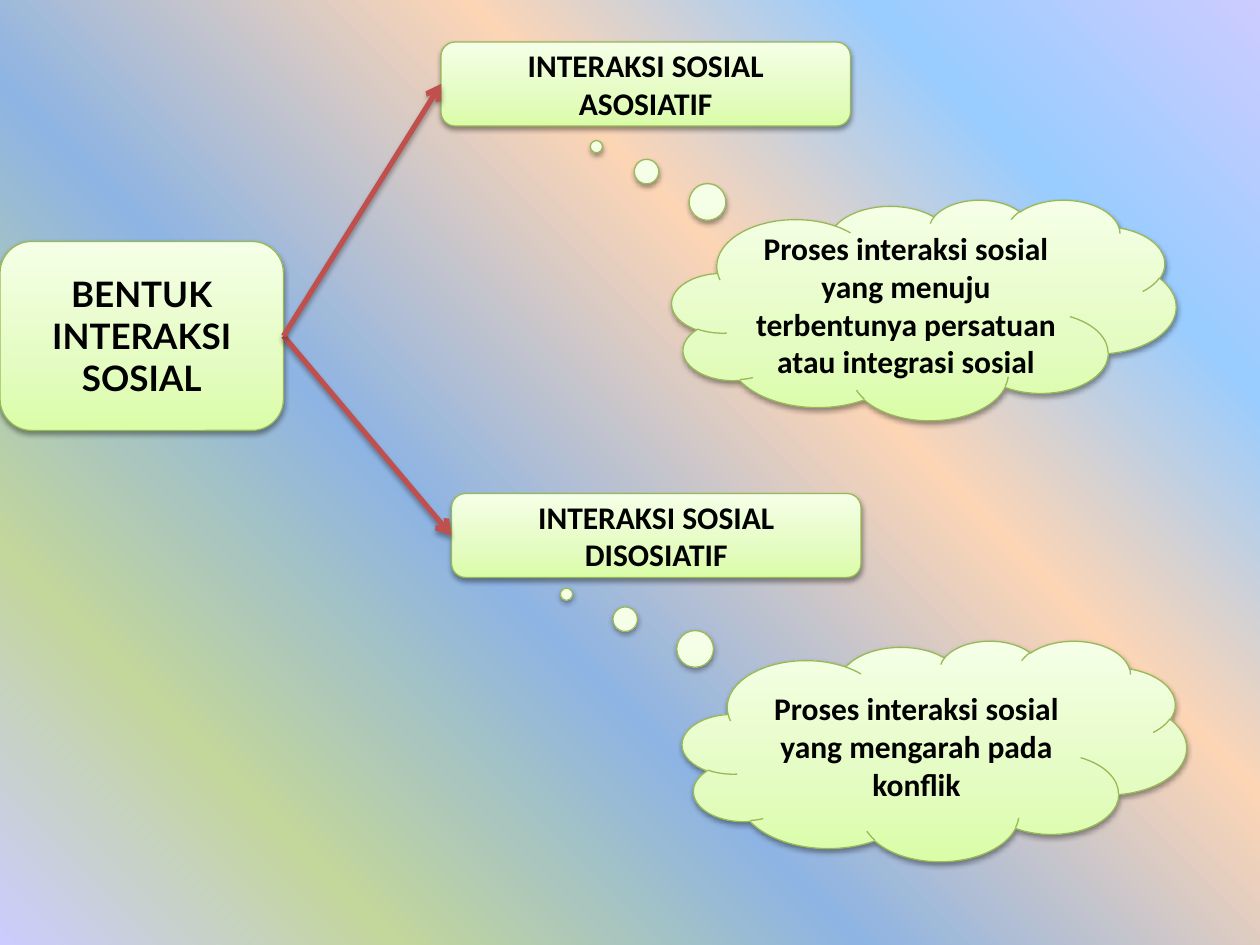
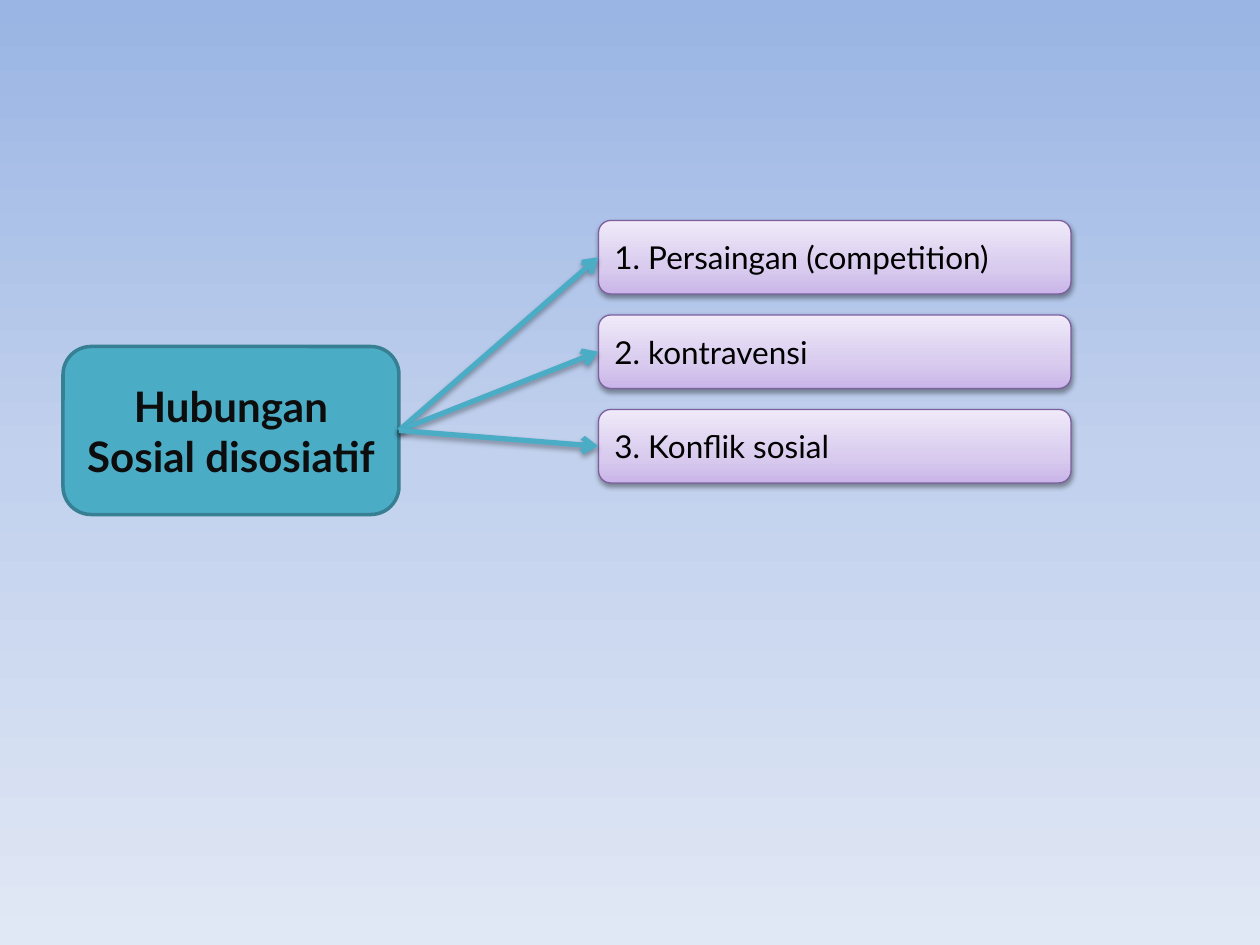
from dataclasses import dataclass
from typing import Optional

import pptx
import pptx.dml.color
import pptx.enum.shapes
import pptx.enum.text
import pptx.oxml
import pptx.oxml.ns
import pptx.util

PX = 7620  # 120 px to the inch
WIDE, HIGH = 1200, 900
KIND = pptx.enum.shapes.MSO_SHAPE
ALIGN = pptx.enum.text.PP_ALIGN

HEX = {
    "black": "000000", "ink": "0D0D0D",
    "red": "C0504D", "teal": "4BACC6", "deep": "377F92",
    "leaf": "98B955", "plum": "7D60A0",
}


@dataclass(frozen=True)
class Blend:
    stops: tuple[tuple[int, str], ...]
    angle: int  # clockwise


@dataclass(frozen=True)
class Shade:
    alpha: int
    gap: float


@dataclass(frozen=True)
class Look:
    fill: str | Blend
    edge: str
    width: float
    shade: Optional[Shade] = None
    face: str = "Calibri"
    size: int = 18
    ink: str = "black"
    bold: bool = True
    align: ALIGN = ALIGN.CENTER


@dataclass(frozen=True)
class Box:
    left: int
    top: int
    width: int
    height: int
    text: str
    tip: Optional[tuple[float, float]] = None  # makes a cloud callout

    @property
    def start(self) -> tuple[int, int]:
        return self.left, self.top + self.height // 2

    @property
    def end(self) -> tuple[int, int]:
        return self.left + self.width, self.top + self.height // 2


# Backgrounds and shared looks
RAINBOW = Blend(((0, "CCCCFF"), (18, "99CCFF"), (36, "FCD5B5"),
                 (61, "8EB4E3"), (82, "C3D69B"), (100, "CCCCFF")), 135)
SKY = Blend(((0, "9AB5E4"), (50, "C2D1ED"), (100, "E1E8F5")), 90)
LIME = Blend(((0, "DAFDA7"), (35, "E4FCC2"), (100, "F5FFE7")), 270)
LILAC = Blend(((0, "C9B5E8"), (35, "D8CBEE"), (100, "F0EAF9")), 270)

SOFT = Shade(38, 1.6)
FAINT = Shade(35, 1.8)
GREEN = Look(LIME, "leaf", 0.75, SOFT)
ROOT = Look(LIME, "leaf", 0.75, SOFT, face="Lato", size=20)
BLUE = Look("teal", "deep", 2, face="Lato", size=24, ink="ink")
ITEM = Look(LILAC, "plum", 0.75, SOFT, face="Lato", bold=False, align=ALIGN.LEFT)


def color(name: str) -> pptx.dml.color.RGBColor:
    return pptx.dml.color.RGBColor.from_string(HEX[name])


def node(xml: str):
    space = pptx.oxml.ns.nsdecls("a")
    return pptx.oxml.parse_xml(xml.replace(">", f" {space}>", 1))


def blend(owner, fill, look: Blend) -> None:
    """Fill a shape or a slide background with a gradient."""
    fill.gradient()
    fill.gradient_angle = 360 - look.angle
    stops = next(owner.element.iter(pptx.oxml.ns.qn("a:gsLst")))
    for old in list(stops):
        stops.remove(old)
    for place, tone in look.stops:
        stops.append(node(f'<a:gs pos="{place * 1000}"><a:srgbClr val="{tone}"/></a:gs>'))


def cast(props, shade: Shade) -> None:
    """Put a soft shadow below a shape or line."""
    blur, gap = pptx.util.Pt(3.1), pptx.util.Pt(shade.gap)
    props.append(node(
        f'<a:effectLst><a:outerShdw blurRad="{blur}" dist="{gap}" dir="5400000" '
        f'rotWithShape="0"><a:srgbClr val="{HEX["black"]}">'
        f'<a:alpha val="{shade.alpha * 1000}"/></a:srgbClr></a:outerShdw></a:effectLst>'))


def draw(slide, box: Box, look: Look) -> None:
    kind = KIND.CLOUD_CALLOUT if box.tip else KIND.ROUNDED_RECTANGLE
    place = (n * PX for n in (box.left, box.top, box.width, box.height))
    shape = slide.shapes.add_shape(kind, *place)
    for spot, value in enumerate(box.tip or ()):
        shape.adjustments[spot] = value
    if isinstance(look.fill, Blend):
        blend(shape, shape.fill, look.fill)
    else:
        shape.fill.solid()
        shape.fill.fore_color.rgb = color(look.fill)
    shape.line.color.rgb = color(look.edge)
    shape.line.width = pptx.util.Pt(look.width)
    if look.shade:
        cast(shape.element.spPr, look.shade)
    else:
        shape.shadow.inherit = False

    frame = shape.text_frame
    frame.word_wrap = True
    frame.vertical_anchor = pptx.enum.text.MSO_ANCHOR.MIDDLE
    frame.text = box.text
    para = frame.paragraphs[0]
    para.alignment = look.align
    para.font.name = look.face
    para.font.size = pptx.util.Pt(look.size)
    para.font.bold = look.bold
    para.font.color.rgb = color(look.ink)


def link(slide, first: Box, last: Box, tone: str) -> None:
    """Draw an arrow from the right side of one box to the left of the next."""
    ends = (n * PX for n in (*first.end, *last.start))
    line = slide.shapes.add_connector(pptx.enum.shapes.MSO_CONNECTOR.STRAIGHT, *ends)
    line.line.color.rgb = color(tone)
    line.line.width = pptx.util.Pt(3)
    line.line._get_or_add_ln().append(node('<a:tailEnd type="arrow"></a:tailEnd>'))
    cast(line.element.spPr, FAINT)


def page(deck, back: Blend):
    slide = deck.slides.add_slide(deck.slide_layouts[6])
    blend(slide, slide.background.fill, back)
    return slide


def forms(deck) -> None:
    slide = page(deck, RAINBOW)
    root = Box(0, 230, 270, 180, "BENTUK INTERAKSI SOSIAL")
    join = Box(420, 40, 390, 80, "INTERAKSI SOSIAL ASOSIATIF")
    part = Box(430, 470, 390, 80, "INTERAKSI SOSIAL DISOSIATIF")
    clouds = (
        Box(640, 190, 480, 210, "Proses interaksi sosial yang menuju terbentunya "
            "persatuan atau integrasi sosial", (-0.65, -0.74)),
        Box(650, 610, 480, 210, "Proses interaksi sosial yang mengarah pada konflik",
            (-0.73, -0.71)),
    )
    draw(slide, root, ROOT)
    for box in (join, part):
        draw(slide, box, GREEN)
    for box in (part, join):
        link(slide, root, box, "red")
    for cloud in clouds:
        draw(slide, cloud, GREEN)


def splits(deck) -> None:
    slide = page(deck, SKY)
    root = Box(60, 330, 320, 160, "Hubungan Sosial disosiatif")
    texts = ("1. Persaingan (competition)", "2. kontravensi", "3. Konflik sosial")
    items = [Box(570, 210 + 90 * row, 450, 70, text) for row, text in enumerate(texts)]
    draw(slide, root, BLUE)
    for item in items:
        draw(slide, item, ITEM)
    for item in items:
        link(slide, root, item, "teal")


def main() -> None:
    deck = pptx.Presentation()
    deck.slide_width, deck.slide_height = WIDE * PX, HIGH * PX
    forms(deck)
    splits(deck)
    deck.save("out.pptx")


if __name__ == "__main__":
    main()
